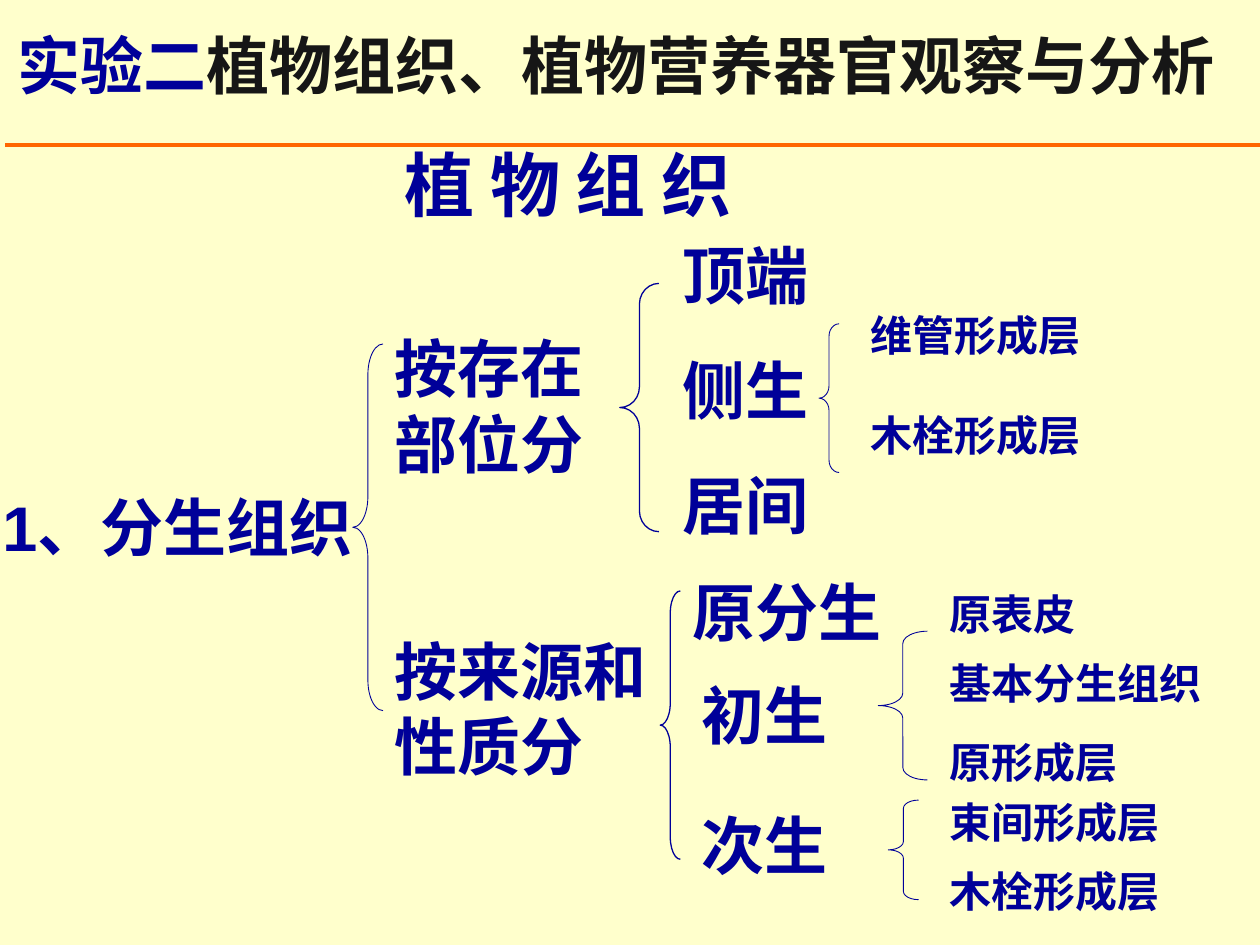
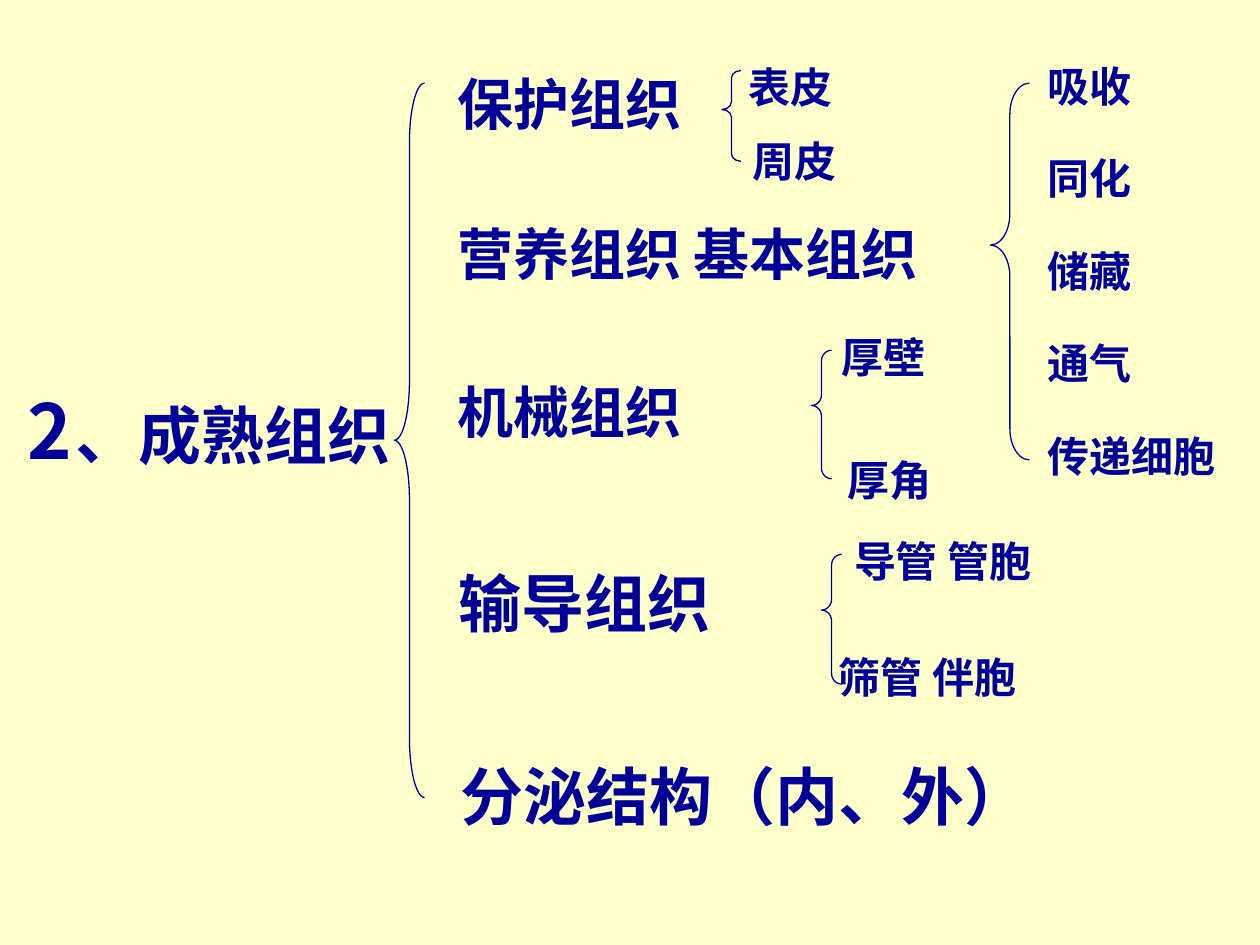
from dataclasses import dataclass

from lxml import etree
from pptx import Presentation
from pptx.dml.color import RGBColor
from pptx.enum.lang import MSO_LANGUAGE_ID as Lang
from pptx.enum.shapes import MSO_CONNECTOR as Connector, MSO_SHAPE as Shape
from pptx.enum.text import MSO_ANCHOR as Anchor, MSO_AUTO_SIZE as AutoSize, PP_ALIGN as Align
from pptx.oxml.ns import qn
from pptx.util import Inches, Pt

# Shared look
CREAM = RGBColor(0xFF, 0xFF, 0xCC)
NAVY = RGBColor(0x00, 0x00, 0x99)
INK = RGBColor(0x16, 0x16, 0x16)
ORANGE = RGBColor(0xFF, 0x66, 0x00)
FONT = "Arial"
LARGE, MEDIUM, SMALL = 36, 32, 24

# Grid of 100 columns by 75 rows
SLIDE_WIDTH, SLIDE_HEIGHT = Inches(10), Inches(7.5)
COLUMN, ROW = SLIDE_WIDTH / 100, SLIDE_HEIGHT / 75


@dataclass
class Box:
    """An area measured in grid columns and rows."""
    left: float
    top: float
    width: float
    height: float

    def within(self, dx, dy, width, height):
        return Box(self.left + dx, self.top + dy, width, height)

    def emu(self):
        return (round(self.left * COLUMN), round(self.top * ROW),
                round(self.width * COLUMN), round(self.height * ROW))


def line_rows(size):
    """Rows taken by one line of text with its insets."""
    return size / 6 + 1


def add_child(parent, tag, **attributes):
    return etree.SubElement(parent, qn(tag), attributes)


def style(paragraph, size, space_before=0):
    paragraph.alignment = Align.LEFT
    paragraph.space_before = Pt(space_before)
    font = paragraph.font
    font.name, font.size, font.bold = FONT, Pt(size), True
    font.color.rgb = NAVY
    font.language_id = Lang.SIMPLIFIED_CHINESE


def prepare(frame):
    frame.word_wrap = True
    frame.auto_size = AutoSize.NONE
    frame.vertical_anchor = Anchor.TOP


def move(placeholder, box):
    placeholder.left, placeholder.top, placeholder.width, placeholder.height = box.emu()
    prepare(placeholder.text_frame)
    return placeholder.text_frame


def label(slide, box, text, size):
    frame = slide.shapes.add_textbox(*box.emu()).text_frame
    prepare(frame)
    frame.text = text
    style(frame.paragraphs[0], size)


def brace(slide, box, tip, weight):
    shape = slide.shapes.add_shape(Shape.LEFT_BRACE, *box.emu())
    shape.adjustments[0] = box.height / 12 / min(box.width, box.height)
    shape.adjustments[1] = tip
    shape.shadow.inherit = False
    shape.fill.background()
    shape.line.color.rgb = NAVY
    shape.line.width = Pt(weight)


def branch(slide, box, leaves, tip=0.5, weight=0.75):
    """A brace filling the box; leaves are (text, dx, dy, width, size, lines)."""
    brace(slide, box, tip, weight)
    for text, dx, dy, width, size, lines in leaves:
        label(slide, box.within(dx, dy, width, line_rows(size * lines)), text, size)


def small_leaves(width, *places):
    return [(text, dx, dy, width, SMALL, 1) for text, dx, dy in places]


def listed_branch(slide, box, items, list_box, size, gap, tip=0.5):
    """A brace whose evenly spaced leaves are the body list."""
    brace(slide, box, tip, 0.75)
    frame = move(slide.placeholders[1], box.within(*list_box))
    frame.text = "\n".join(items)
    for index, paragraph in enumerate(frame.paragraphs):
        properties = paragraph._p.get_or_add_pPr()
        properties.set("marL", "0")
        properties.set("indent", "0")
        add_child(properties, "a:buNone")
        style(paragraph, size, gap if index else 0)


def heading(slide, box):
    """Two-coloured title over an orange rule."""
    frame = move(slide.shapes.title, box.within(0, 1.6, 98, line_rows(LARGE)))
    paragraph = frame.paragraphs[0]
    for text, color in (("实验二", NAVY), ("植物组织、植物营养器官观察与分析", INK)):
        run = paragraph.add_run()
        run.text = text
        run.font.color.rgb = color
    style(paragraph, LARGE)

    left, top, width, height = box.emu()
    rule = slide.shapes.add_connector(
        Connector.STRAIGHT, left, top + height, left + width, top + height)
    rule.line.color.rgb = ORANGE
    rule.line.width = Pt(2.25)
    add_child(rule._element.spPr, "a:effectLst")


def numbered_title(slide, box, number, text):
    """Title whose number is an enlarged automatic bullet."""
    frame = move(slide.shapes.title, box)
    frame.text = text
    paragraph = frame.paragraphs[0]
    paragraph.line_spacing = 0.8
    properties = paragraph._p.get_or_add_pPr()
    properties.set("marL", str(Inches(0.38)))
    properties.set("indent", str(-Inches(0.38)))
    bullet_color = add_child(properties, "a:buClr")
    add_child(bullet_color, "a:srgbClr", val=str(NAVY))
    add_child(properties, "a:buSzPct", val="120000")
    add_child(properties, "a:buFont", typeface=FONT)
    add_child(properties, "a:buAutoNum", type="arabicPlain", startAt=str(number))
    style(paragraph, LARGE)


def meristem_slide(slide):
    heading(slide, Box(0.4, 0, 99.6, 11.5))
    label(slide, Box(31.1, 10.7, 34.7, line_rows(40)), "植 物 组 织", 40)

    # Root and its two classifications
    label(slide, Box(-0.8, 38.3, 32.3, line_rows(LARGE)), "1、分生组织", LARGE)
    branch(slide, Box(28, 27.3, 2.4, 29.1), [
        ("按存在部位分", 2.3, -1.6, 18.1, LARGE, 2),
        ("按来源和性质分", 2.3, 22.4, 22.9, LARGE, 2),
    ], weight=0.5)

    # By position
    listed_branch(slide, Box(49.2, 22.5, 3.1, 19.7), ["顶端", "侧生", "居间"],
                  (4, -4.2, 14.9, 25.3), LARGE, 22.5)
    branch(slide, Box(65, 25.7, 1.6, 11.8), small_leaves(
        30, ("维管形成层", 3.1, -1.6), ("木栓形成层", 3.1, 6.3)), weight=0.5)

    # By origin and nature
    branch(slide, Box(52.4, 46.9, 1.6, 21.3), [
        ("原分生", 1.6, -1.9, 19.7, LARGE, 1),
        ("初生", 2.3, 6.3, 14.2, LARGE, 1),
        ("次生", 2.3, 16.6, 14.2, LARGE, 1),
    ])
    branch(slide, Box(69.7, 50.1, 3.9, 11.8), small_leaves(
        25, ("原表皮", 4.7, -3.9), ("基本分生组织", 4.7, 1.6), ("原形成层", 4.7, 7.9)),
        weight=0.5)
    branch(slide, Box(70.5, 63.5, 2.4, 7.9), small_leaves(
        25, ("束间形成层", 3.9, -0.8), ("木栓形成层", 3.9, 4.7)), weight=0.5)


def mature_tissue_slide(slide):
    numbered_title(slide, Box(1.2, 32.1, 31.1, 5.8), 2, "、成熟组织")

    # The five mature tissues
    branch(slide, Box(31.3, 6.6, 2.4, 56.7), [
        ("保护组织", 4, -1.6, 20.7, MEDIUM, 1),
        ("营养组织 基本组织", 4, 10.3, 39.4, MEDIUM, 1),
        ("机械组织", 4, 22.9, 27.6, MEDIUM, 1),
        ("输导组织", 4.1, 37.7, 24, LARGE, 1),
        ("分泌结构（内、外）", 4.3, 53, 47, LARGE, 1),
    ])

    # Their kinds
    tip = 0.43
    branch(slide, Box(57.3, 5.6, 1.5, 7.2), small_leaves(
        10.2, ("表皮", 1.1, -1.2), ("周皮", 1.4, 4.7)), tip)
    listed_branch(slide, Box(78.6, 6.6, 3.1, 29.9),
                  ["吸收", "同化", "储藏", "通气", "传递细胞"],
                  (3.5, -2.3, 16, 34.4), SMALL, 24, tip)
    branch(slide, Box(64.4, 27.8, 1.6, 10.2), small_leaves(
        10.2, ("厚壁", 1.4, -2), ("厚角", 1.9, 7.8)), tip)
    branch(slide, Box(65.2, 44, 1.6, 10.3), small_leaves(
        19.7, ("导管 管胞", 1.6, -2), ("筛管 伴胞", 0.4, 7.2)), tip)


def main():
    deck = Presentation()
    deck.slide_width, deck.slide_height = SLIDE_WIDTH, SLIDE_HEIGHT
    background = deck.slide_master.background.fill
    background.solid()
    background.fore_color.rgb = CREAM
    for build in (meristem_slide, mature_tissue_slide):
        build(deck.slides.add_slide(deck.slide_layouts[1]))
    deck.save("out.pptx")


if __name__ == "__main__":
    main()
